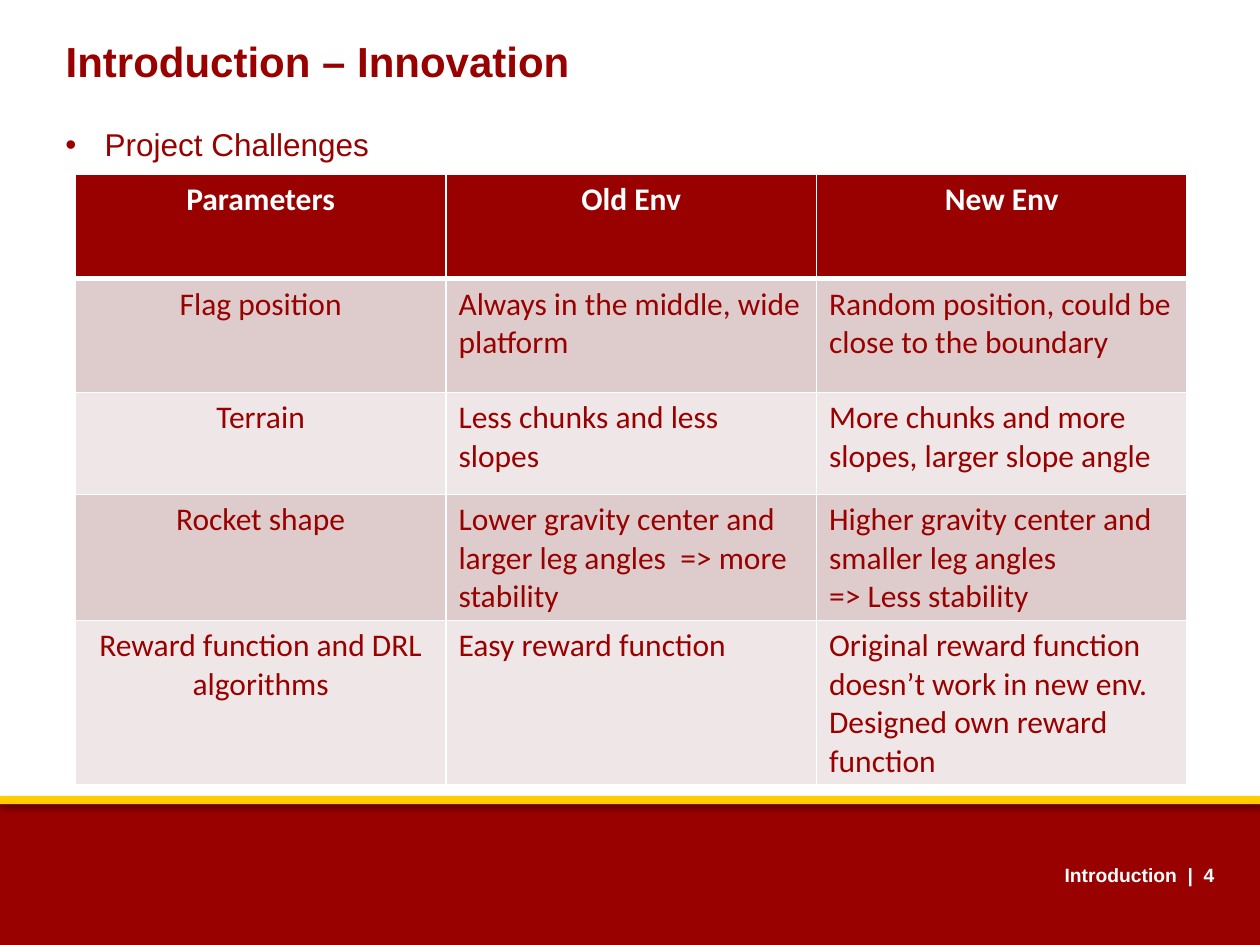
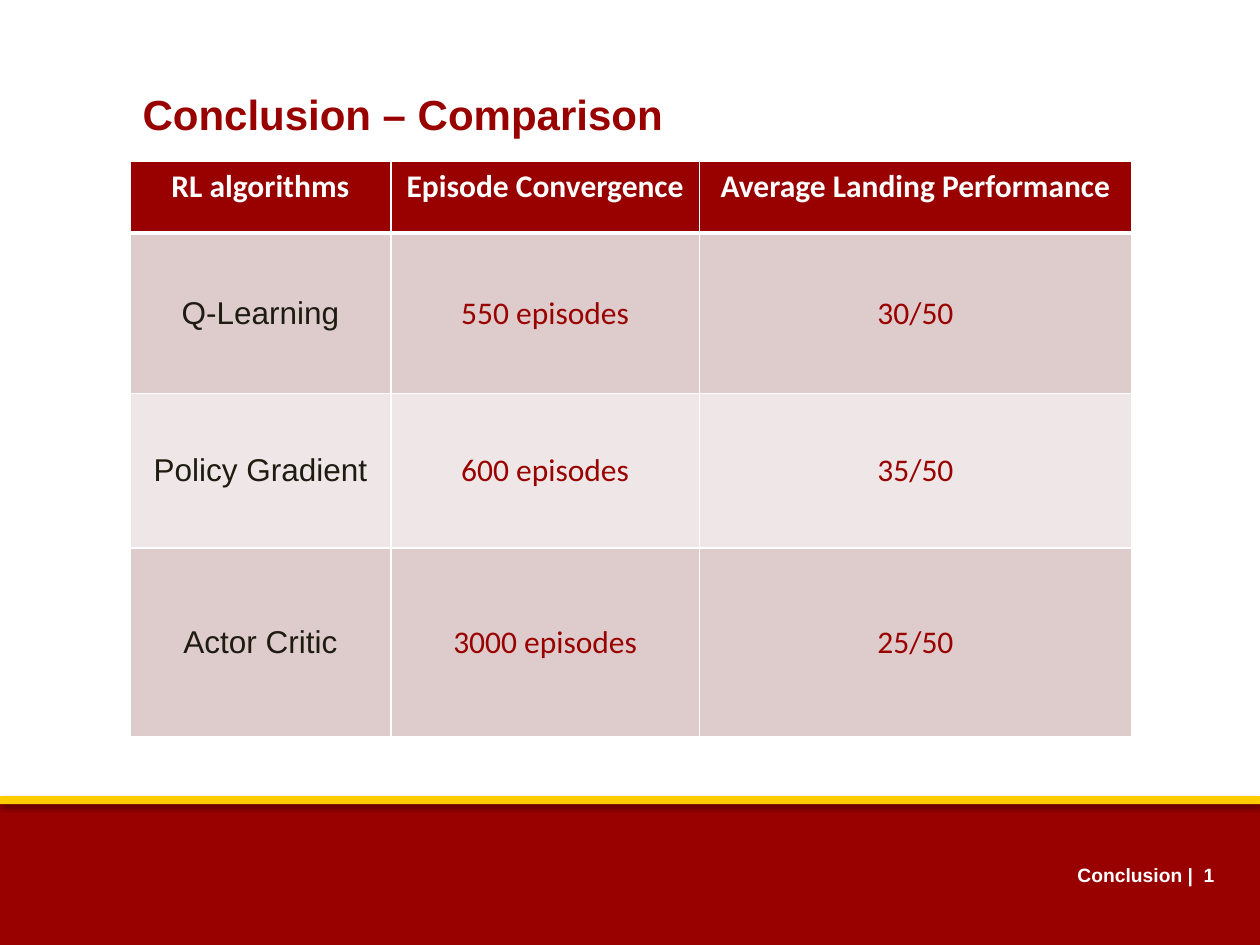
from dataclasses import dataclass

from lxml.etree import SubElement
from pptx import Presentation
from pptx.dml.color import RGBColor
from pptx.enum.shapes import MSO_SHAPE
from pptx.enum.text import MSO_ANCHOR, PP_ALIGN
from pptx.oxml import parse_xml
from pptx.oxml.ns import nsdecls, qn
from pptx.util import Cm, Pt


@dataclass(frozen=True)
class Theme:
    red: str = "990000"
    gold: str = "FFCC00"
    white: str = "FFFFFF"
    ink: str = "1E1C11"
    stripes: tuple[str, str] = ("DECCCC", "EFE7E7")
    heading_font: str = "Arial"
    table_font: str = "Calibri"
    title_size: int = 24
    body_size: int = 18
    footer_size: int = 11
    rule: int = 1
    header_rule: int = 3


@dataclass(frozen=True)
class Box:
    left: float
    top: float
    width: float
    height: float

    def lengths(self) -> tuple:
        return Cm(self.left), Cm(self.top), Cm(self.width), Cm(self.height)


@dataclass(frozen=True)
class Band:
    box: Box
    color: str
    shadow_percent: int
    shadow_distance: float


@dataclass(frozen=True)
class Grid:
    """Column widths and row heights are in centimetres; rows start with the header."""
    left: float
    top: float
    widths: tuple[float, ...]
    heights: tuple[float, ...]
    rows: tuple[tuple[str, ...], ...]
    centered: tuple[int, ...]
    anchor: MSO_ANCHOR = MSO_ANCHOR.TOP
    label_font: str = "Calibri"
    label_color: str = "990000"


THEME = Theme()
WIDTH, HEIGHT = 25.4, 19.05
BANDS = (
    Band(Box(0, 16.13, WIDTH, 2.92), THEME.red, 35, 1.8),
    Band(Box(0, 16.05, WIDTH, 0.16), THEME.gold, 38, 1.6),
)
FOOTER = Box(20.22, 17.27, 4.52, 0.89)

CHALLENGES = Grid(
    left=1.52, top=3.51,
    widths=(7.47,) * 3,
    heights=(2.11, 2.29, 2.06, 2.54, 3.3),
    rows=(
        ("Parameters", "Old Env", "New Env"),
        ("Flag position", "Always in the middle, wide platform",
         "Random position, could be close to the boundary"),
        ("Terrain", "Less chunks and less slopes",
         "More chunks and more slopes, larger slope angle"),
        ("Rocket shape",
         "Lower gravity center and larger leg angles  => more stability",
         "Higher gravity center and smaller leg angles\n=> Less stability"),
        ("Reward function and DRL algorithms", "Easy reward function",
         "Original reward function doesn’t work in new env.\n"
         "Designed own reward function"),
    ),
    centered=(0,),
)
COMPARISON = Grid(
    left=2.62, top=3.25,
    widths=(5.26, 6.22, 8.71),
    heights=(1.45, 3.23, 3.12, 3.81),
    rows=(
        ("RL algorithms", "Episode Convergence", "Average Landing Performance"),
        ("Q-Learning", "550 episodes", "30/50"),
        ("Policy Gradient", "600 episodes", "35/50"),
        ("Actor Critic", "3000 episodes", "25/50"),
    ),
    centered=(0, 1, 2),
    anchor=MSO_ANCHOR.MIDDLE,
    label_font=THEME.heading_font,
    label_color=THEME.ink,
)


def write(tf, text: str, *, size: int = THEME.body_size, font: str = THEME.heading_font,
          color: str = THEME.red, bold: bool = False, align: PP_ALIGN = PP_ALIGN.LEFT,
          bullet: bool = False) -> None:
    """Fill a text frame, one paragraph for each line of text."""
    tf.word_wrap = True
    for i, line in enumerate(text.split("\n")):
        p = tf.paragraphs[0] if i == 0 else tf.add_paragraph()
        p.alignment = align
        if bullet:
            pPr = p._p.get_or_add_pPr()
            pPr.set("marL", str(Cm(0.79)))
            pPr.set("indent", str(-Cm(0.79)))
            SubElement(pPr, qn("a:buFont"), typeface=THEME.heading_font)
            SubElement(pPr, qn("a:buChar"), char="•")
        r = p.add_run()
        r.text = line
        r.font.size = Pt(size)
        r.font.name = font
        r.font.bold = bold
        r.font.color.rgb = RGBColor.from_string(color)


def add_band(s, band: Band) -> None:
    sp = s.shapes.add_shape(MSO_SHAPE.RECTANGLE, *band.box.lengths())
    sp.fill.solid()
    sp.fill.fore_color.rgb = RGBColor.from_string(band.color)
    sp.line.fill.background()
    sp.shadow.inherit = False
    effects = sp._element.spPr.find(qn("a:effectLst"))
    shadow = SubElement(effects, qn("a:outerShdw"), blurRad=str(Pt(3.1)),
                        dist=str(Pt(band.shadow_distance)), dir="5400000",
                        rotWithShape="0")
    black = SubElement(shadow, qn("a:srgbClr"), val="000000")
    SubElement(black, qn("a:alpha"), val=str(band.shadow_percent * 1000))


def add_text(s, box: Box, text: str, **fmt) -> None:
    write(s.shapes.add_textbox(*box.lengths()).text_frame, text, **fmt)


def add_slide(prs, title: str, title_box: Box, footer: str):
    """Add a slide with the shared bands, title style and footer."""
    s = prs.slides.add_slide(prs.slide_layouts[5])
    for band in BANDS:
        add_band(s, band)
    add_text(s, FOOTER, footer, size=THEME.footer_size, color=THEME.white,
             bold=True, align=PP_ALIGN.RIGHT)
    sp = s.shapes.title
    sp.left, sp.top, sp.width, sp.height = title_box.lengths()
    sp.text_frame.vertical_anchor = MSO_ANCHOR.TOP
    write(sp.text_frame, title, size=THEME.title_size, bold=True)
    return s


def set_borders(cell, top: int, bottom: int) -> None:
    tcPr = cell._tc.get_or_add_tcPr()
    sides = {"L": THEME.rule, "R": THEME.rule, "T": top, "B": bottom}
    for i, (side, width) in enumerate(sides.items()):
        tcPr.insert(i, parse_xml(
            f'<a:ln{side} {nsdecls("a")} w="{Pt(width)}"><a:solidFill>'
            f'<a:srgbClr val="{THEME.white}"/></a:solidFill></a:ln{side}>'))


def add_grid(s, grid: Grid) -> None:
    box = Box(grid.left, grid.top, sum(grid.widths), sum(grid.heights))
    table = s.shapes.add_table(len(grid.heights), len(grid.widths), *box.lengths()).table
    table.horz_banding = False
    for column, width in zip(table.columns, grid.widths):
        column.width = Cm(width)
    for i, (height, texts) in enumerate(zip(grid.heights, grid.rows)):
        table.rows[i].height = Cm(height)
        header = i == 0
        for j, text in enumerate(texts):
            cell = table.cell(i, j)
            cell.fill.solid()
            fill = THEME.red if header else THEME.stripes[(i - 1) % 2]
            cell.fill.fore_color.rgb = RGBColor.from_string(fill)
            set_borders(cell, top=THEME.header_rule if i == 1 else THEME.rule,
                        bottom=THEME.header_rule if header else THEME.rule)
            cell.vertical_anchor = MSO_ANCHOR.TOP if header else grid.anchor
            centered = header or j in grid.centered
            label = j == 0 and not header
            body_color = THEME.white if header else THEME.red
            write(cell.text_frame, text, bold=header,
                  font=grid.label_font if label else THEME.table_font,
                  color=grid.label_color if label else body_color,
                  align=PP_ALIGN.CENTER if centered else PP_ALIGN.LEFT)


def main() -> None:
    prs = Presentation()
    prs.slide_width, prs.slide_height = Cm(WIDTH), Cm(HEIGHT)

    s = add_slide(prs, "Introduction – Innovation", Box(1.07, 0.58, 23.65, 1.3),
                  "Introduction  |  4")
    add_text(s, Box(1.07, 2.4, 23.65, 1), "Project Challenges", bullet=True)
    add_grid(s, CHALLENGES)

    s = add_slide(prs, "Conclusion – Comparison", Box(2.62, 1.65, 20.55, 1.3),
                  "Conclusion |  1")
    add_grid(s, COMPARISON)

    prs.save("out.pptx")


if __name__ == "__main__":
    main()
